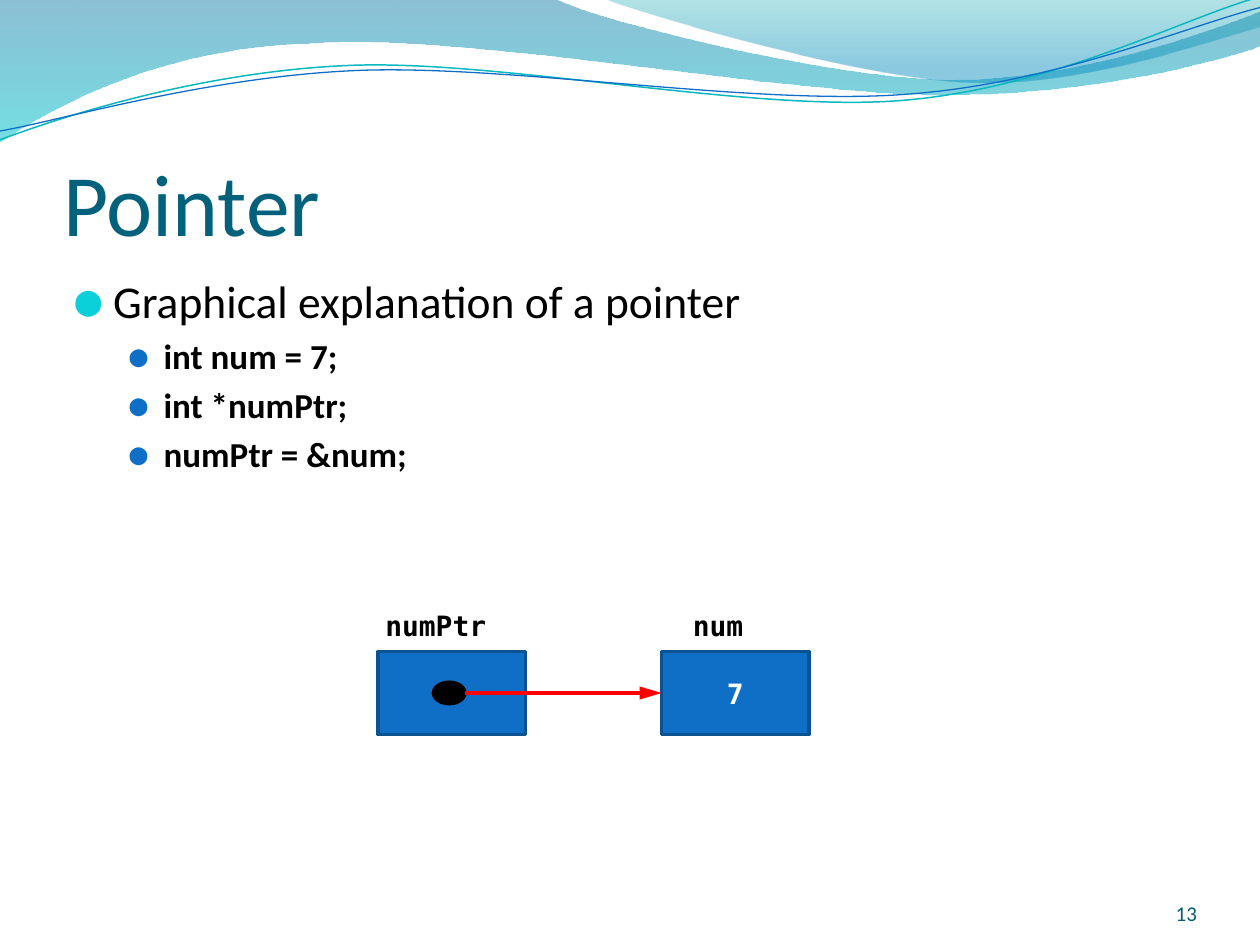
from lxml import etree
from pptx import Presentation
from pptx import util as u
from pptx.dml.color import RGBColor
from pptx.enum import shapes, text
from pptx.oxml import ns

COLORS = {
    "title": "04617B", "number": "045D75", "ink": "000000", "paper": "FFFFFF",
    "blue": "0F6FC6", "edge": "0B5292", "cyan": "0BD0D9", "teal": "0AB8BF",
    "arrow": "FF0000", "wave_top": "0074A1", "wave_foot": "00C6CF",
    "crest_top": "00A1A9", "crest_foot": "008BBF",
}
SANS, MONO = "Calibri", "DejaVu Sans Mono"
WAVE = [(0, 0), (4.4, -0.01),
        [(4.76, 0.17), (6.64, 0.63), (7.58, 0.63)], [(8.53, 0.63), (9.58, 0.26), (10, 0.09)],
        (10.01, 0.36),
        [(9.83, 0.44), (8.7, 0.76), (7.46, 0.75)], [(6.22, 0.75), (3.82, 0.28), (2.57, 0.34)],
        [(1.29, 0.36), (0.46, 0.83), (-0.01, 1.13)], (0, 0)]
CREST = [(4.79, -0.01),
         [(5.09, 0.11), (6.82, 0.62), (7.69, 0.65)], [(8.56, 0.69), (9.61, 0.32), (10, 0.21)],
         (10, 0), (4.79, -0.01)]
TEAL_LINE = [(0, 1.11),
             [(0.48, 0.93), (1.58, 0.57), (2.77, 0.52)], [(3.95, 0.47), (5.93, 0.89), (7.13, 0.8)],
             [(8.33, 0.71), (9.38, 0.15), (9.98, -0.02)]]
BLUE_LINE = [(0, 1.04),
             [(0.47, 0.96), (1.64, 0.61), (2.83, 0.56)], [(4.03, 0.51), (5.97, 0.84), (7.17, 0.75)],
             [(8.36, 0.67), (9.41, 0.21), (10, 0.06)]]


def rgb(name):
    """Return the named colour."""
    return RGBColor.from_string(COLORS[name])


def add_xml(parent, tag, **attributes):
    """Append a DrawingML element and return it."""
    return etree.SubElement(parent, ns.qn(f"a:{tag}"), attributes)


def write(frame, words, size, color, font=SANS, bold=False, align="LEFT", anchor="TOP",
          wrap=True, insets=(0.1, 0.05, 0.1, 0.05), new=False):
    """Write one formatted paragraph in a text frame and return it."""
    frame.auto_size = text.MSO_AUTO_SIZE.NONE
    frame.word_wrap = wrap
    frame.vertical_anchor = getattr(text.MSO_ANCHOR, anchor)
    frame.margin_left, frame.margin_top, frame.margin_right, frame.margin_bottom = map(u.Inches, insets)
    paragraph = frame.add_paragraph() if new else frame.paragraphs[0]
    paragraph.alignment = getattr(text.PP_ALIGN, align)
    run = paragraph.add_run()
    run.text = words
    run.font.name, run.font.size, run.font.bold = font, u.Pt(size), bold
    run.font.color.rgb = rgb(color)
    return paragraph


def add_frame(slide, box):
    """Add a text box and return its text frame."""
    return slide.shapes.add_textbox(*map(u.Inches, box)).text_frame


def add_curve(slide, path, close):
    """Add an outline of straight and cubic segments without a shadow."""
    start, *segments = path
    ends = [part[-1] if isinstance(part, list) else part for part in segments]
    builder = slide.shapes.build_freeform(*map(u.Inches, start))
    builder.add_line_segments([tuple(map(u.Inches, end)) for end in ends], close=close)
    curve = builder.convert_to_shape()
    curve.shadow.inherit = False
    for step, part in zip(list(curve._element.iter(ns.qn("a:lnTo"))), segments):
        if isinstance(part, list):
            cubic = etree.Element(ns.qn("a:cubicBezTo"))
            for x, y in part:
                add_xml(cubic, "pt", x=str(u.Inches(x) - curve.left), y=str(u.Inches(y) - curve.top))
            step.getparent().replace(step, cubic)
    return curve


def add_gradient_wave(slide, path, stops):
    """Add a translucent wave shaded from top to bottom."""
    wave = add_curve(slide, path, True)
    wave.line.fill.background()
    wave.fill.gradient()
    wave.fill.gradient_angle = 270
    for stop, (position, color, _) in zip(wave.fill.gradient_stops, stops):
        stop.position, stop.color.rgb = position, rgb(color)
    for tint, (_, _, opacity) in zip(wave._element.iter(ns.qn("a:srgbClr")), stops):
        add_xml(tint, "alpha", val=str(opacity * 1000))


def add_banner(slide):
    """Draw the waves across the top of the slide."""
    add_gradient_wave(slide, WAVE, [(0, "wave_top", 45), (1, "wave_foot", 55)])
    add_gradient_wave(slide, CREST, [(0, "crest_top", 30), (0.8, "crest_foot", 45)])
    for path, color, width in ((TEAL_LINE, "teal", 0.85), (BLUE_LINE, "blue", 0.75)):
        ripple = add_curve(slide, path, False)
        ripple.fill.background()
        ripple.line.color.rgb, ripple.line.width = rgb(color), u.Pt(width)


def place_title(slide, box, words):
    """Move and format the title placeholder."""
    title = slide.shapes.title
    title.left, title.top, title.width, title.height = map(u.Inches, box)
    write(title.text_frame, words, 50, "title", anchor="BOTTOM", insets=(0, 0.05, 0, 0))


def add_bullets(slide, box, heading, statements):
    """List the statements below their heading."""
    frame = add_frame(slide, box)
    levels = [(heading, 26, False, 0.3, 0.3, "cyan", 95)]
    levels += [(line, 20, True, 0.7, 0.27, "blue", 85) for line in statements]
    for index, (words, size, bold, indent, hang, color, scale) in enumerate(levels):
        paragraph = write(frame, words, size, "ink", bold=bold, new=index > 0)
        properties = paragraph._p.get_or_add_pPr()
        properties.set("marL", str(u.Inches(indent)))
        properties.set("indent", str(-u.Inches(hang)))
        add_xml(add_xml(properties, "buClr"), "srgbClr", val=COLORS[color])
        add_xml(properties, "buSzPct", val=str(scale * 1000))
        add_xml(properties, "buFont", typeface=MONO)
        add_xml(properties, "buChar", char="●")
        if index:
            paragraph.level = 1
            paragraph.space_before = u.Pt(size * 0.2)


def add_solid(slide, kind, box, fill, edge):
    """Add a filled and outlined preset shape."""
    solid = slide.shapes.add_shape(kind, *map(u.Inches, box))
    solid.shadow.inherit = False
    solid.fill.solid()
    solid.fill.fore_color.rgb = rgb(fill)
    solid.line.color.rgb, solid.line.width = rgb(edge), u.Pt(2)
    return solid


def add_variable(slide, box, name, label_left, label_width):
    """Draw a memory cell with its name above it and return the cell."""
    cell = add_solid(slide, shapes.MSO_SHAPE.RECTANGLE, box, "blue", "edge")
    label = add_frame(slide, (label_left, box[1] - 0.39, label_width, 0.37))
    write(label, name, 16, "ink", MONO, True, wrap=False)
    return cell


def add_pointer_diagram(slide, box):
    """Show the pointer cell and the cell it points to."""
    left, top, width, height = box
    cell_width = 1.17
    num_left, middle = left + width - cell_width, top + height / 2
    num = add_variable(slide, (num_left, top, cell_width, height), "num", num_left + 0.15, 0.61)
    write(num.text_frame, "7", 16, "paper", MONO, True, "CENTER", "MIDDLE")
    add_variable(slide, (left, top, cell_width, height), "numPtr", left - 0.04, 1.01)
    dot_left, dot_width, dot_height = left + 0.44, 0.25, 0.17
    dot = (dot_left, middle - dot_height / 2, dot_width, dot_height)
    add_solid(slide, shapes.MSO_SHAPE.OVAL, dot, "ink", "ink")
    ends = (dot_left + dot_width, middle, num_left, middle)
    arrow = slide.shapes.add_connector(shapes.MSO_CONNECTOR.STRAIGHT, *map(u.Inches, ends))
    arrow.line.color.rgb, arrow.line.width = rgb("arrow"), u.Pt(2.5)
    add_xml(arrow.line._get_or_add_ln(), "tailEnd", type="triangle", len="lg")
    add_xml(arrow._element.spPr, "effectLst")


def add_page_number(slide, box, number):
    """Set the page number at the lower right."""
    write(add_frame(slide, box), number, 12, "number", align="RIGHT", anchor="BOTTOM",
          insets=(0, 0, 0, 0))


def main():
    """Build and save the slide."""
    deck = Presentation()
    deck.slide_width, deck.slide_height = u.Inches(10), u.Inches(7.5)
    slide = deck.slides.add_slide(deck.slide_layouts.get_by_name("Title Only"))
    add_banner(slide)
    place_title(slide, (0.5, 0.77, 9, 1.25), "Pointer")
    add_bullets(slide, (0.5, 2.12, 9, 4.8), "Graphical explanation of a pointer",
                ["int num = 7;", "int *numPtr;", "numPtr = &num;"])
    add_pointer_diagram(slide, (3, 5.17, 3.42, 0.66))
    add_page_number(slide, (8.67, 6.95, 0.83, 0.4), "13")
    deck.save("out.pptx")


if __name__ == "__main__":
    main()
